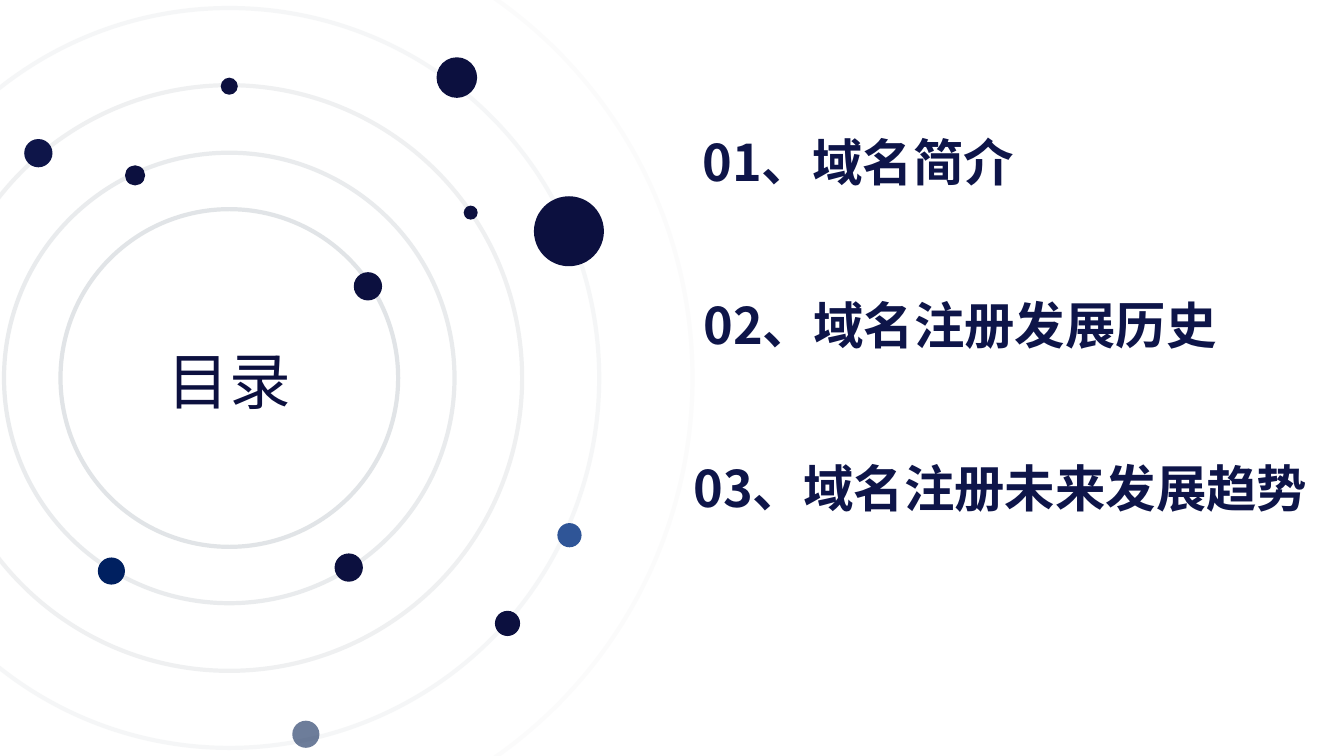
from pptx import Presentation
from pptx import util as u
from pptx.dml import color
from pptx.enum import shapes, text
from pptx.oxml import ns
from lxml import etree

FONT = "Noto Sans CJK SC"
COLORS = {
    "ring": "D9DDE0",
    "ink": "0C103F",
    "navy": "0E1549",
    "slate": "203864",
    "blue": "2F5597",
    "deep": "002060",
    "white": "FFFFFF",
}
CX, CY = 163.8, 270

prs = Presentation()
prs.slide_width, prs.slide_height = u.Pt(960), u.Pt(540)
s = prs.slides.add_slide(prs.slide_layouts[6])


def add_circle(cx, cy, size, name, opacity=100, outlined=False):
    sp = s.shapes.add_shape(
        shapes.MSO_SHAPE.OVAL,
        u.Pt(cx - size / 2), u.Pt(cy - size / 2), u.Pt(size), u.Pt(size))
    sp.shadow.inherit = False
    if outlined:
        sp.fill.background()
        sp.line.width = u.Pt(3)
        paint = sp.line.fill
    else:
        sp.line.fill.background()
        paint = sp.fill
    paint.solid()
    paint.fore_color.rgb = color.RGBColor.from_string(COLORS[name])
    if opacity < 100:
        for rgb in sp.element.spPr.iter(ns.qn("a:srgbClr")):
            etree.SubElement(rgb, ns.qn("a:alpha"), val=str(opacity * 1000))


def add_label(label, left, top, width, height, size, name):
    sp = s.shapes.add_textbox(u.Pt(left), u.Pt(top), u.Pt(width), u.Pt(height))
    tf = sp.text_frame
    tf.word_wrap = True
    p = tf.paragraphs[0]
    r = p.add_run()
    r.text = label
    r.font.name = FONT
    r.font.size = u.Pt(size)
    r.font.color.rgb = color.RGBColor.from_string(COLORS[name])
    etree.SubElement(r.font._element, ns.qn("a:ea"), typeface=FONT)
    return tf


rings = [(661.7, 10), (528.5, 23), (418.3, 42), (321.8, 56), (241.2, 77)]
for size, opacity in rings:
    add_circle(CX, CY, size, "ring", opacity, outlined=True)

add_circle(CX, CY, 164, "white")

dots = [
    (96.5, 125.3, 14.4, "ink", 100),
    (336.2, 151.9, 10, "ink", 100),
    (362.5, 445.3, 18, "ink", 100),
    (406.4, 165.2, 50, "ink", 100),
    (CX, 61.6, 12.2, "ink", 100),
    (218.5, 524.5, 19.4, "slate", 65),
    (249.1, 405.4, 20.2, "ink", 100),
    (27.4, 109.4, 20.2, "navy", 100),
    (262.8, 204.5, 20.2, "ink", 100),
    (406.8, 382.3, 17.3, "blue", 100),
    (326.3, 55.4, 29, "ink", 100),
    (79.6, 407.9, 19.4, "deep", 100),
]
for dot in dots:
    add_circle(*dot)

tf = add_label("目录", 100, 242.6, 128, 57.6, 44, "ink")
tf.margin_left = tf.margin_right = tf.margin_top = tf.margin_bottom = u.Pt(2.2)
tf.vertical_anchor = text.MSO_ANCHOR.MIDDLE
tf.paragraphs[0].alignment = text.PP_ALIGN.CENTER

entries = [
    ("01、域名简介", 494.6, 422),
    ("02、域名注册发展历史", 495.4, 398),
    ("03、域名注册未来发展趋势", 488.2, 499),
]
for i, (label, left, width) in enumerate(entries):
    tf = add_label(label, left, 90 + 116.3 * i, width, 51, 36, "navy")
    tf.paragraphs[0].runs[0].font.bold = True

prs.save("out.pptx")
